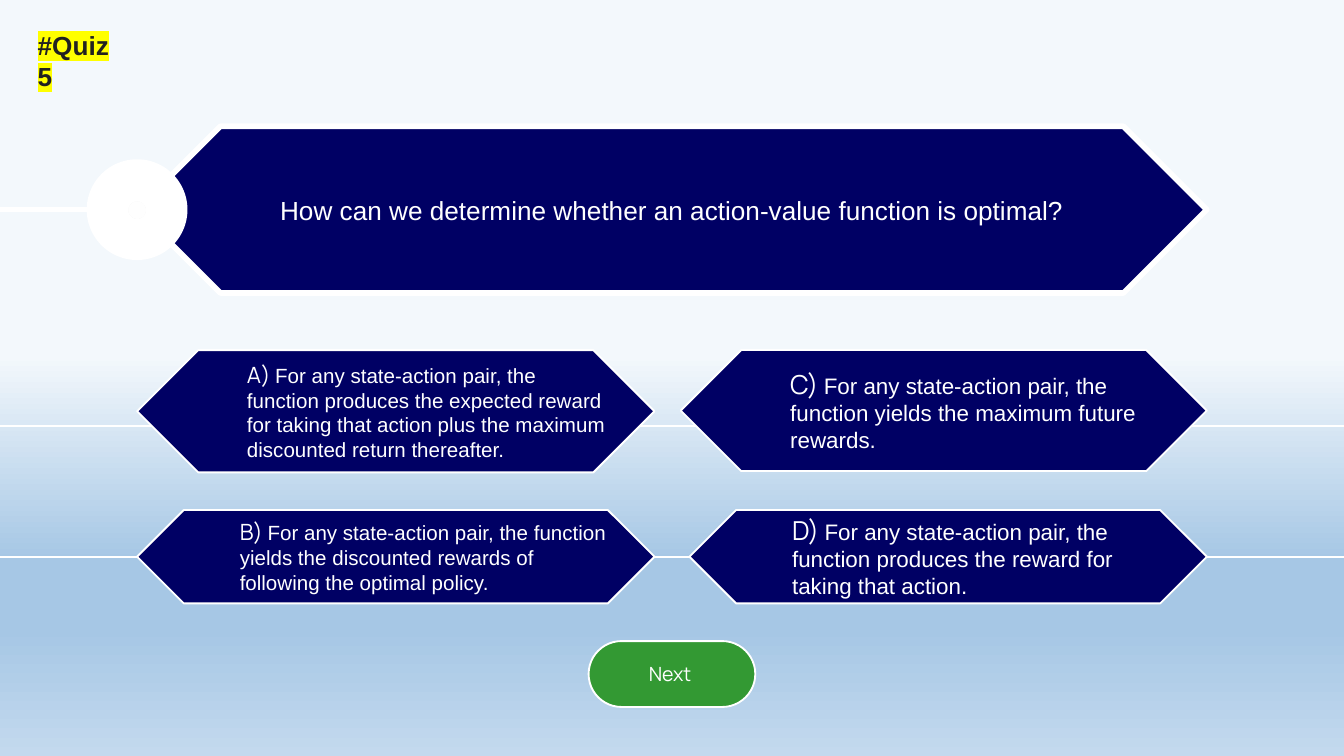
from lxml import etree
from pptx import Presentation
from pptx.dml.color import RGBColor
from pptx.enum.shapes import MSO_CONNECTOR, MSO_SHAPE
from pptx.enum.text import MSO_ANCHOR, MSO_AUTO_SIZE, PP_ALIGN
from pptx.oxml.ns import qn
from pptx.util import Emu, Pt

SCALE = 4572  # EMU in one px, 200 px to the inch
WIDTH, HEIGHT = 2000, 1125
STRAIGHT = MSO_CONNECTOR.STRAIGHT
HEXAGON, PILL, OVAL = MSO_SHAPE.SNIP_2_DIAG_RECTANGLE, MSO_SHAPE.ROUNDED_RECTANGLE, MSO_SHAPE.OVAL
LEFT, CENTER = PP_ALIGN.LEFT, PP_ALIGN.CENTER
TOP, MIDDLE = MSO_ANCHOR.TOP, MSO_ANCHOR.MIDDLE
FIT_SHAPE = MSO_AUTO_SIZE.SHAPE_TO_FIT_TEXT
WHITE, PALE, NAVY, GREEN = "FFFFFF", "F3F8FC", "000064", "339933"

ANSWERS = [
    # box, letter, answer, letter size, answer size
    ((204, 521, 770, 182), "A) ", "For any state-action pair, the function produces the expected reward "
     "for taking that action plus the maximum discounted return thereafter.", 12, 11),
    ((204, 759, 770, 139), "B) ", "For any state-action pair, the function yields the discounted rewards "
     "of following the optimal policy.", 12, 11),
    ((1013, 521, 783, 180), "C) ", "For any state-action pair, the function yields the maximum future "
     "rewards.", 14, 12),
    ((1026, 759, 770, 139), "D) ", "For any state-action pair, the function produces the reward for "
     "taking that action.", 14, 12),
]


def px(value):
    return Emu(value * SCALE)


def color(value):
    return RGBColor.from_string(value)


def set_gradient(fill, element, stops, circle=False):
    """Give a fill its stops (position, colour, opacity), downward or from the centre."""
    fill.gradient()
    gradient = next(element.iter(qn("a:gradFill")))
    for child in list(gradient):
        gradient.remove(child)
    stop_list = etree.SubElement(gradient, qn("a:gsLst"))
    for position, value, opacity in stops:
        stop = etree.SubElement(stop_list, qn("a:gs"), pos=str(position * 1000))
        stop_color = etree.SubElement(stop, qn("a:srgbClr"), val=value)
        if opacity < 100:
            etree.SubElement(stop_color, qn("a:alpha"), val=str(opacity * 1000))
    if circle:
        path = etree.SubElement(gradient, qn("a:path"), path="circle")
        etree.SubElement(path, qn("a:fillToRect"), l="50000", t="50000", r="50000", b="50000")
    else:
        etree.SubElement(gradient, qn("a:lin"), ang="5400000", scaled="0")


def add_line(slide, start, end, y, value, weight):
    line = slide.shapes.add_connector(STRAIGHT, px(start), px(y), px(end), px(y))
    line.line.color.rgb = color(value)
    line.line.width = Pt(weight)
    etree.SubElement(line._element.spPr, qn("a:effectLst"))


def add_shape(slide, kind, box, fill, weight=0):
    shape = slide.shapes.add_shape(kind, *map(px, box))
    shape.shadow.inherit = False
    for index in range(len(shape.adjustments)):
        shape.adjustments[index] = 0.5
    shape.fill.solid()
    shape.fill.fore_color.rgb = color(fill)
    if weight:
        shape.line.color.rgb = color(WHITE)
        shape.line.width = Pt(weight)
    else:
        shape.line.fill.background()
    return shape


def write(shape, runs, alignment, anchor=MIDDLE, inset=20, value=WHITE, bold=False):
    """Fill a shape with one paragraph of runs (text, font, size)."""
    frame = shape.text_frame
    frame_format = {"word_wrap": True, "vertical_anchor": anchor, "margin_left": px(inset),
                    "margin_right": px(20), "margin_top": px(10), "margin_bottom": px(10)}
    for name, setting in frame_format.items():
        setattr(frame, name, setting)
    paragraph = frame.paragraphs[0]
    paragraph.alignment = alignment
    for text, font, size in runs:
        run = paragraph.add_run()
        run.text = text
        run.font.color.rgb = color(value)
        for name, setting in {"name": font, "size": Pt(size), "bold": bold}.items():
            setattr(run.font, name, setting)
    return paragraph


def place_title(slide, box):
    title = slide.shapes.title
    for name, value in zip(("left", "top", "width", "height"), box):
        setattr(title, name, px(value))
    paragraph = write(title, [("#Quiz5", "Arial", 14)], LEFT, TOP, value="212121", bold=True)
    title.text_frame.auto_size = FIT_SHAPE
    highlight = etree.Element(qn("a:highlight"))
    etree.SubElement(highlight, qn("a:srgbClr"), val="FFFF00")
    paragraph.runs[0]._r.rPr.find(qn("a:solidFill")).addnext(highlight)


def add_question(slide, box):
    left, top, width, height = box
    middle = top + height // 2
    add_line(slide, 0, left, middle, WHITE, 3)
    add_line(slide, left + width, WIDTH, middle, PALE, 3)
    banner = add_shape(slide, HEXAGON, box, NAVY, 3)
    write(banner, [("How can we determine whether an action-value function is optimal?",
                    "Arial", 14)], CENTER)


def add_answer(slide, box, letter, answer, letter_size, answer_size):
    shape = add_shape(slide, HEXAGON, box, NAVY, 1)
    write(shape, [(letter, "Manrope", letter_size), (answer, "Arial", answer_size)], LEFT, inset=118)


def add_next_button(slide, box):
    button = add_shape(slide, PILL, box, GREEN, 1)
    write(button, [("Next", "Manrope", 10.5)], CENTER, inset=14)


def add_lamp(slide, box):
    """A white disc with a small glow at its centre."""
    left, top, size, _ = box
    glow_size = 28
    offset = (size - glow_size) // 2
    add_shape(slide, OVAL, box, WHITE)
    glow = add_shape(slide, OVAL, (left + offset, top + offset, glow_size, glow_size), WHITE)
    set_gradient(glow.fill, glow._element,
                 [(0, WHITE, 100), (32, WHITE, 100), (63, WHITE, 0), (100, WHITE, 0)], circle=True)


def build_quiz_slide(presentation):
    slide = presentation.slides.add_slide(presentation.slide_layouts[5])
    set_gradient(slide.background.fill, slide._element,
                 [(0, PALE, 100), (47, PALE, 100), (74, "A6C7E5", 100),
                  (83, "A6C7E5", 100), (100, "C3D9EE", 100)])
    place_title(slide, (36, 33, 154, 68))
    for y in (829, 634):
        add_line(slide, 0, WIDTH, y, WHITE, 1)
    for answer in ANSWERS:
        add_answer(slide, *answer)
    add_question(slide, (204, 188, 1592, 248))
    add_next_button(slide, (876, 954, 248, 98))
    add_lamp(slide, (129, 237, 150, 150))


def main():
    presentation = Presentation()
    presentation.slide_width, presentation.slide_height = px(WIDTH), px(HEIGHT)
    build_quiz_slide(presentation)
    presentation.save("out.pptx")


if __name__ == "__main__":
    main()
